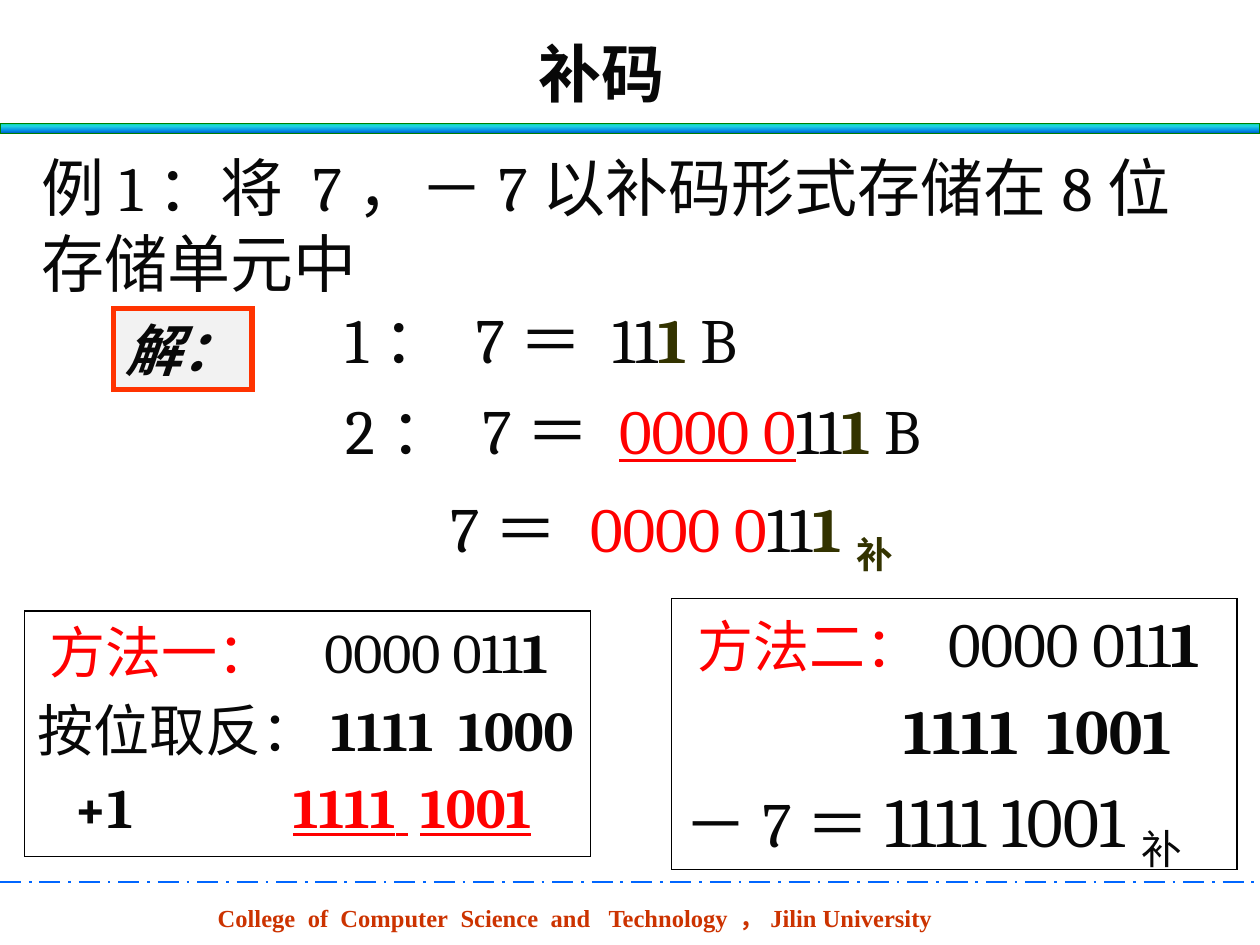
import pptx
import pptx.dml.color
import pptx.enum.dml
import pptx.enum.shapes
import pptx.enum.text
import pptx.oxml
import pptx.oxml.ns
import pptx.util
from dataclasses import dataclass, field

Cm = pptx.util.Cm
Pt = pptx.util.Pt
Align = pptx.enum.text.PP_ALIGN
Anchor = pptx.enum.text.MSO_ANCHOR
RECT = pptx.enum.shapes.MSO_SHAPE.RECTANGLE
NS = pptx.oxml.ns.nsdecls("a")

INK, RED, OLIVE, RUST, WHITE = "080808", "FF0000", "333300", "CC3300", "FFFFFF"
ROMAN = "Times New Roman"
BOLD = {"bold": True}
UNDER = {"underline": True}


@dataclass
class Run:
    text: str
    size: float = 36
    color: str = INK
    font: dict = field(default_factory=dict)
    face: str = "Cambria"
    sub: bool = False
    track: float = 0


@dataclass
class Line:
    runs: list
    indent: float = 0


@dataclass
class Box:
    place: tuple
    lines: list
    inset: float = 0.25


def gap(count: int, size: float = 36, color: str = INK, font: dict = BOLD,
        face: str = "Cambria", ratio: float = 0.22) -> Run:
    """One space, tracked out to the width of count spaces."""
    return Run(" ", size, color, font, face, track=(count - 1) * ratio * size)


def rgb(code: str):
    return pptx.dml.color.RGBColor.from_string(code)


def move(shape, place: tuple) -> None:
    for name, value in zip(("left", "top", "width", "height"), place):
        setattr(shape, name, Cm(value))


def add_run(para, item: Run) -> None:
    run = para.add_run()
    run.text = item.text
    style = {"size": Pt(item.size), "name": item.face, "bold": False, **item.font}
    for name, value in style.items():
        setattr(run.font, name, value)
    run.font.color.rgb = rgb(item.color)
    props = run._r.get_or_add_rPr()
    if item.sub:
        props.set("baseline", "-25000")
    if item.track:
        props.set("spc", str(round(item.track * 100)))


def write(shape, lines: list, align=Align.LEFT, anchor=Anchor.TOP, wrap=True,
          inset=0.25, right=0.25) -> None:
    frame = shape.text_frame
    form = {
        "word_wrap": wrap,
        "auto_size": pptx.enum.text.MSO_AUTO_SIZE.NONE,
        "vertical_anchor": anchor,
        "margin_left": Cm(inset),
        "margin_right": Cm(right),
    }
    for name, value in form.items():
        setattr(frame, name, value)
    for rank, line in enumerate(lines):
        para = frame.paragraphs[0] if rank == 0 else frame.add_paragraph()
        props = para._p.get_or_add_pPr()
        props.set("marL", str(int(Cm(line.indent))))
        props.set("indent", "0")
        props.append(pptx.oxml.parse_xml(f"<a:buNone {NS}/>"))
        para.alignment = align
        para.space_before = Pt(6 if rank else 0)
        for item in line.runs:
            add_run(para, item)


def frame_box(slide, place: tuple, edge: str, width: float, fill: str = ""):
    shape = slide.shapes.add_shape(RECT, *map(Cm, place))
    shape.shadow.inherit = False
    if fill:
        shape.fill.solid()
        shape.fill.fore_color.rgb = rgb(fill)
    else:
        shape.fill.background()
    shape.line.color.rgb = rgb(edge)
    shape.line.width = Pt(width)
    edge_xml = shape._element.spPr.find(pptx.oxml.ns.qn("a:ln"))
    edge_xml.append(pptx.oxml.parse_xml(f'<a:miter {NS} lim="800000"/>'))
    return shape


def draw_bar(slide) -> None:
    bar = frame_box(slide, (0, 2.49, 25.4, 0.2), "008000", 0.75)
    props = bar._element.spPr
    old = props.find(pptx.oxml.ns.qn("a:noFill"))
    shades = ((0, "03D4A8"), (25, "21D6E0"), (75, "0087E6"), (100, "005CBF"))
    stops = "".join(
        f'<a:gs pos="{pos * 1000}"><a:srgbClr val="{code}"/></a:gs>' for pos, code in shades
    )
    props.replace(old, pptx.oxml.parse_xml(
        f'<a:gradFill {NS}><a:gsLst>{stops}</a:gsLst><a:lin ang="5400000" scaled="0"/></a:gradFill>'
    ))


def draw_foot(slide) -> None:
    rule = slide.shapes.add_connector(
        pptx.enum.shapes.MSO_CONNECTOR.STRAIGHT, 0, Cm(17.78), Cm(25.4), Cm(17.78)
    )
    rule.line.color.rgb = rgb("0066FF")
    rule.line.width = Pt(1.5)
    rule.line.dash_style = pptx.enum.dml.MSO_LINE.LONG_DASH_DOT
    rule._element.spPr.append(pptx.oxml.parse_xml(f"<a:effectLst {NS}/>"))
    foot = slide.shapes.add_textbox(*map(Cm, (4.14, 18.08, 15.04, 0.84)))
    runs = []
    for word, space in (("College", 2), ("of", 2), ("Computer", 2), ("Science", 2), ("and", 3)):
        runs += [Run(word, 14, RUST, BOLD, ROMAN), gap(space, 14, RUST, BOLD, ROMAN, 0.25)]
    runs.append(Run("Technology ，Jilin University", 14, RUST, BOLD, ROMAN))
    write(foot, [Line(runs)])


ONES = [Run("11"), Run("1 ", color=OLIVE, font=BOLD), Run("B")]
STEPS = [
    Box((6.71, 5.94, 12.01, 1.8), [Line([Run("1： 7＝ "), *ONES])]),
    Box((6.71, 7.77, 12.4, 1.8), [
        Line([Run("2： 7＝ "), Run("0000 0", color=RED, font=UNDER), *ONES]),
    ]),
    Box((7.7, 9.6, 15.01, 1.96), [
        Line([
            Run("7＝"), Run(" ", 40), Run("0000 0", color=RED), Run("11"),
            Run("1", color=OLIVE, font=BOLD),
            Run("补", color=OLIVE, font=BOLD, sub=True),
        ]),
    ], inset=1.37),
]
WAYS = [
    Box((0.5, 12.32, 11.4, 4.95), [
        Line([Run("方法一：", 32, RED), gap(3, 32, RED, {}),
              Run("0000 011", 32), Run("1", 32, font=BOLD)], 0.25),
        Line([Run("按位取反：", 32), Run("1111", 32, font=BOLD), gap(2, 32),
              Run("1000", 32, font=BOLD)]),
        Line([Run("+1", 32, font=BOLD), gap(13, 32), Run("1111", 32, RED, BOLD | UNDER),
              gap(2, 32, RED, BOLD | UNDER), Run("1001", 32, RED, BOLD | UNDER)], 0.74),
    ]),
    Box((13.54, 12.07, 11.4, 5.46), [
        Line([Run("方法二： ", 32, RED), Run("0000 011"), Run("1", font=BOLD)], 0.28),
        Line([Run("1111", font=BOLD), gap(2), Run("1001", font=BOLD)], 4.42),
        Line([Run("－7＝"), Run("1111 1001", 40), Run("补", 40, sub=True)]),
    ]),
]


def main() -> None:
    deck = pptx.Presentation()
    deck.slide_width, deck.slide_height = Cm(25.4), Cm(19.05)
    slide = deck.slides.add_slide(deck.slide_layouts[1])
    slide.background.fill.solid()
    slide.background.fill.fore_color.rgb = rgb(WHITE)
    title, body = slide.placeholders
    move(title, (5.11, 0.56, 14.02, 1.8))
    write(title, [Line([Run("补码", font=BOLD, face=ROMAN)])], Align.CENTER, Anchor.MIDDLE)
    move(body, (0.58, 2.87, 24.36, 3.33))
    write(body, [Line([Run("例1：将 7，－7以补码形式存储在8位存储单元中")])])
    draw_bar(slide)
    draw_foot(slide)
    solve = frame_box(slide, (2.29, 6.22, 2.79, 1.63), "FF3300", 3, "F2F2F2")
    label = Run("解：", 32, font={"bold": True, "italic": True}, face=ROMAN)
    write(solve, [Line([label])], anchor=Anchor.MIDDLE, wrap=False)
    for step in STEPS:
        write(slide.shapes.add_textbox(*map(Cm, step.place)), step.lines, inset=step.inset)
    for way in WAYS:
        write(frame_box(slide, way.place, "000000", 0.75), way.lines, right=0.1)
    deck.save("out.pptx")


if __name__ == "__main__":
    main()
